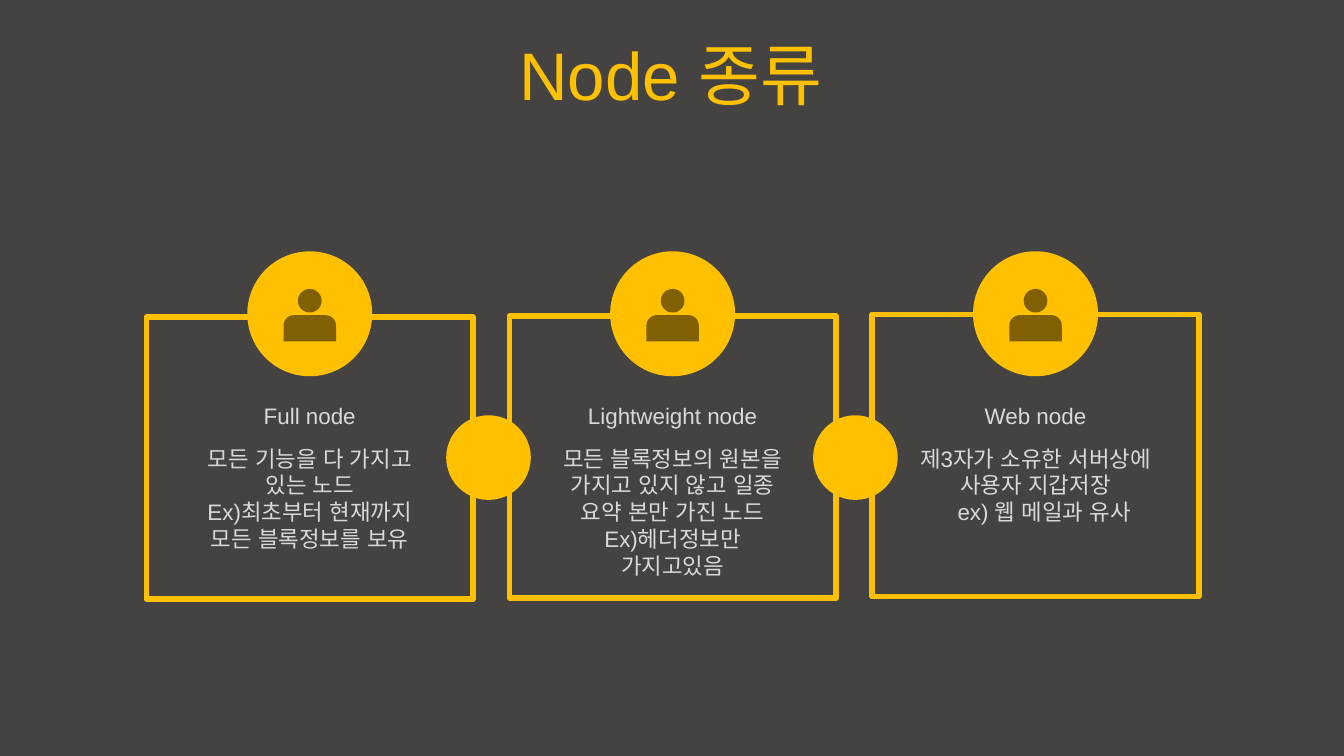
from dataclasses import dataclass
from math import cos, radians, sin

from lxml import etree
from pptx import Presentation
from pptx.dml.color import RGBColor
from pptx.enum.shapes import MSO_SHAPE
from pptx.enum.text import MSO_ANCHOR, PP_ALIGN
from pptx.oxml.ns import qn
from pptx.util import Inches, Pt

RECT, OVAL = MSO_SHAPE.RECTANGLE, MSO_SHAPE.OVAL
CENTER, MIDDLE = PP_ALIGN.CENTER, MSO_ANCHOR.MIDDLE


@dataclass(frozen=True)
class Theme:
    background: RGBColor = RGBColor(0x44, 0x43, 0x42)
    accent: RGBColor = RGBColor(0xFF, 0xC0, 0x00)
    icon: RGBColor = RGBColor(0x80, 0x60, 0x00)
    text: RGBColor = RGBColor(0xDA, 0xD9, 0xD9)
    font: str = "Arial"
    title_size: int = 36
    body_size: int = 12
    frame_width: int = 3


THEME = Theme()

# Heading, then (paragraph, left indent in inches)
NODES = [
    ("Full node", [("모든 기능을 다 가지고 있는 노드", 0),
                   ("Ex)최초부터 현재까지 모든 블록정보를 보유", 0)]),
    ("Lightweight node", [("모든 블록정보의 원본을 가지고 있지 않고 일종 요약 본만 가진 노드", 0),
                          ("Ex)헤더정보만 가지고있음", 0)]),
    ("Web node", [("제3자가 소유한 서버상에 사용자 지갑저장", 0),
                  ("ex) 웹 메일과 유사", 0.13)]),
]

CARD_X, CARD_Y, CARD_W, CARD_H = 1.09, 2.36, 2.43, 2.1
CARD_PITCH, CARD_RISE = 2.7, 0.01
BADGE_Y, BADGE_SIZE = 1.87, 0.93
DOT_X, DOT_Y, DOT_SIZE, DOT_PITCH = 3.32, 3.09, 0.63, 2.73
TEXT_W, HEADING_Y, BODY_Y = 1.99, 2.94, 3.26
ICON_SIZE = 0.39


def format_paragraph(p, size, color):
    p.alignment = CENTER
    p.font.size = Pt(size)
    p.font.name = THEME.font
    p.font.color.rgb = color


def add_disc(shapes, x, y, size):
    disc = shapes.add_shape(OVAL, Inches(x), Inches(y), Inches(size), Inches(size))
    disc.shadow.inherit = False
    disc.fill.solid()
    disc.fill.fore_color.rgb = THEME.accent
    disc.line.fill.background()


def add_text(shapes, x, y, w, h, paragraphs):
    tf = shapes.add_textbox(Inches(x), Inches(y), Inches(w), Inches(h)).text_frame
    tf.word_wrap = True
    for i, (text, indent) in enumerate(paragraphs):
        p = tf.add_paragraph() if i else tf.paragraphs[0]
        p.text = text
        format_paragraph(p, THEME.body_size, THEME.text)
        # Korean letters and their spaces use the same font
        pPr = p._p.get_or_add_pPr()
        etree.SubElement(pPr.find(qn("a:defRPr")), qn("a:ea"), typeface=THEME.font)
        if indent:
            pPr.set("marL", str(Inches(indent)))


def arc(cx, cy, radius, start, end):
    return [(cx + radius * cos(radians(a)), cy + radius * sin(radians(a)))
            for a in range(start, end + 1, 10)]


def add_person(s, x, y, size):
    """Shoulders with rounded top corners, and a round head."""
    corner, top = size * 0.2, size / 2
    shoulders = [(0, size),
                 *arc(corner, top + corner, corner, 180, 270),
                 *arc(size - corner, top + corner, corner, 270, 360),
                 (size, size)]
    head_radius = size * 0.225
    head = arc(size / 2, head_radius, head_radius, 0, 350)

    def points(outline):
        return [(Inches(x + px), Inches(y + py)) for px, py in outline]

    body, face = points(shoulders), points(head)
    builder = s.shapes.build_freeform(*body[0])
    builder.add_line_segments(body[1:], close=True)
    builder.move_to(*face[0])
    builder.add_line_segments(face[1:], close=True)
    person = builder.convert_to_shape()
    person.shadow.inherit = False
    person.fill.solid()
    person.fill.fore_color.rgb = THEME.icon
    person.line.fill.background()


def add_title(s, x, y, w, h, text):
    title = s.shapes.title
    title.left, title.top, title.width, title.height = map(Inches, (x, y, w, h))
    tf = title.text_frame
    tf.vertical_anchor = MIDDLE
    tf.text = text
    format_paragraph(tf.paragraphs[0], THEME.title_size, THEME.accent)


def add_card(s, x, y, w, h, heading, body):
    # Frame with a badge on its top edge
    shapes = s.shapes.add_group_shape().shapes
    frame = shapes.add_shape(RECT, Inches(x), Inches(y), Inches(w), Inches(h))
    frame.shadow.inherit = False
    frame.fill.background()
    frame.line.color.rgb = THEME.accent
    frame.line.width = Pt(THEME.frame_width)
    etree.SubElement(frame._element.spPr.get_or_add_ln(), qn("a:round"))
    center = x + w / 2
    add_disc(shapes, center - BADGE_SIZE / 2, BADGE_Y, BADGE_SIZE)
    add_person(s, center - ICON_SIZE / 2, BADGE_Y + 0.28, ICON_SIZE)

    # Heading and description
    shapes = s.shapes.add_group_shape().shapes
    left = center - TEXT_W / 2
    add_text(shapes, left, BODY_Y, TEXT_W, 0.91, body)
    add_text(shapes, left, HEADING_Y, TEXT_W, 0.3, [(heading, 0)])


def main():
    prs = Presentation()
    prs.slide_width = Inches(10)
    prs.slide_height = prs.slide_width * 9 // 16
    s = prs.slides.add_slide(prs.slide_layouts[5])
    s.background.fill.solid()
    s.background.fill.fore_color.rgb = THEME.background

    add_title(s, -0.01, 0.23, 10, 0.63, "Node 종류")
    for i, (heading, body) in enumerate(NODES):
        add_card(s, CARD_X + i * CARD_PITCH, CARD_Y - i * CARD_RISE,
                 CARD_W, CARD_H, heading, body)

    # Dots that link neighbouring cards
    for i in range(len(NODES) - 1):
        add_disc(s.shapes, DOT_X + i * DOT_PITCH, DOT_Y, DOT_SIZE)

    prs.save("out.pptx")


if __name__ == "__main__":
    main()
